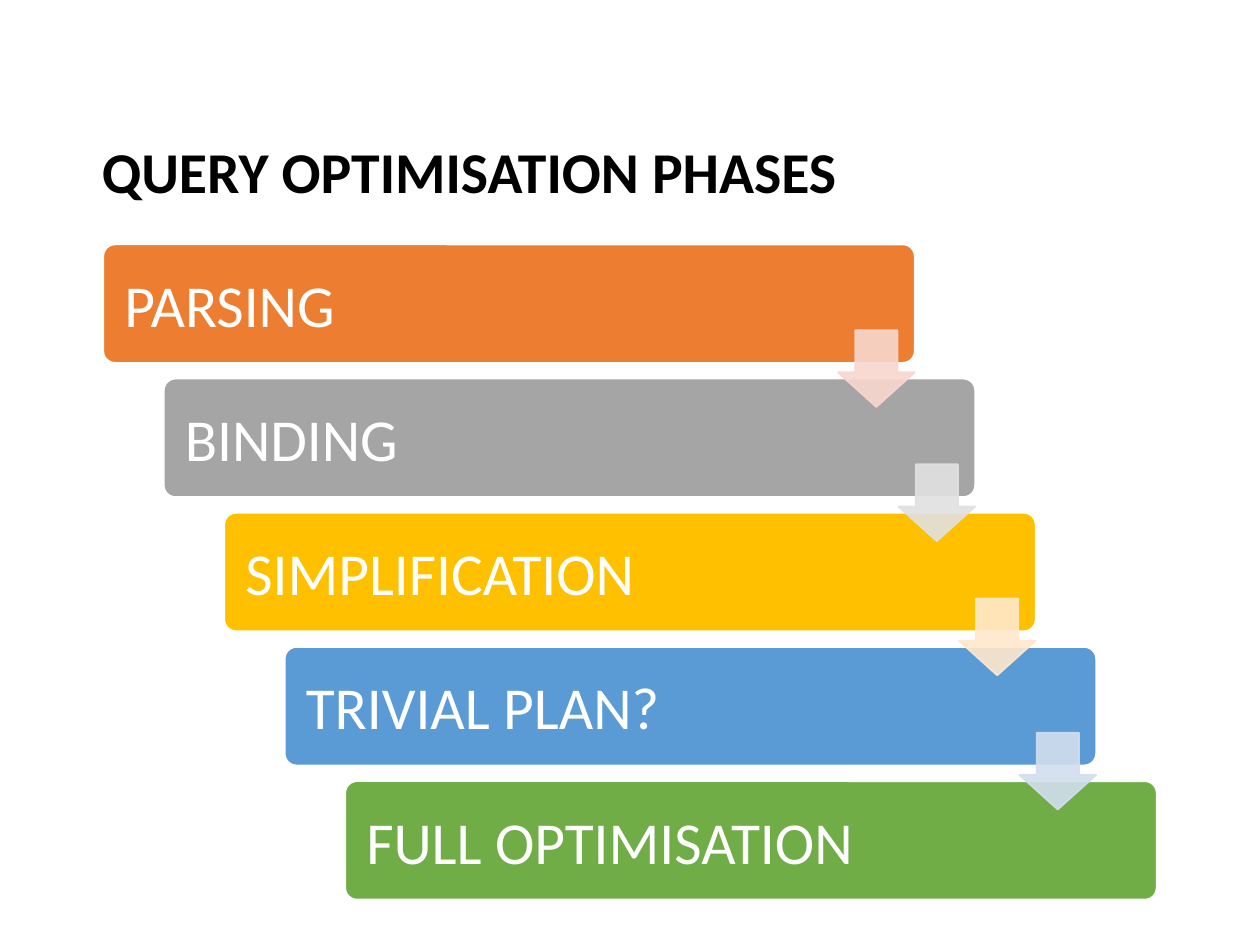
from dataclasses import dataclass

from lxml.etree import SubElement
from pptx import Presentation
from pptx.dml.color import RGBColor
from pptx.enum.shapes import MSO_SHAPE
from pptx.enum.text import MSO_ANCHOR, PP_ALIGN
from pptx.oxml.ns import qn
from pptx.util import Inches, Pt

LEFT, TOP = 0.82, 1.94
COL, ROW = 0.48, (6.2 - 1.94) / 4
BOX_W, BOX_H = 6.44, 0.94
ARROW_X, ARROW_Y, ARROW = 5.83, 0.68, 0.61


@dataclass
class Phase:
    """A step of the staircase and the colour of the arrow leaving it."""
    name: str
    fill: str
    arrow: str = ""


PHASES = [
    Phase("PARSING", "ED7D31", "F8D7CE"),
    Phase("BINDING", "A5A5A5", "E1E1E1"),
    Phase("SIMPLIFICATION", "FFC000", "FFE8CC"),
    Phase("TRIVIAL PLAN?", "5B9BD5", "D2DEEF"),
    Phase("FULL OPTIMISATION", "70AD47"),
]


def paint(fill, color: str, alpha: int = 100) -> None:
    """Set a solid colour with an opacity in percent."""
    fill.solid()
    fill.fore_color.rgb = RGBColor.from_string(color)
    if alpha < 100:
        clr = fill._xPr.find(qn("a:solidFill"))[0]
        SubElement(clr, qn("a:alpha")).set("val", str(alpha * 1000))


def write(sp, text: str, size: int, color: str, bold: bool = False) -> None:
    """Put one left-aligned, vertically centred line into a shape."""
    tf = sp.text_frame
    tf.word_wrap = True
    tf.vertical_anchor = MSO_ANCHOR.MIDDLE
    tf.text = text
    p = tf.paragraphs[0]
    p.alignment = PP_ALIGN.LEFT
    font = p.runs[0].font
    font.name, font.size, font.bold = "Calibri", Pt(size), bold
    paint(font.fill, color)


def add_title(s, text: str) -> None:
    """Add the slide heading."""
    sp = s.shapes.add_textbox(Inches(0.71), Inches(0.66), Inches(8.57), Inches(1.45))
    write(sp, text, 33, "000000", True)
    sp.text_frame.paragraphs[0].line_spacing = 0.9


def add_shape(s, kind, x: float, y: float, w: float, h: float,
              fill: str, line: str, alpha: int = 100):
    """Add a flat preset shape with a one-point outline."""
    sp = s.shapes.add_shape(kind, Inches(x), Inches(y), Inches(w), Inches(h))
    sp.shadow.inherit = False
    paint(sp.fill, fill, alpha)
    sp.line.width = Pt(1)
    paint(sp.line.fill, line, alpha)
    return sp


def add_box(s, step: int, phase: Phase) -> None:
    """Add the box of a phase on its step."""
    sp = add_shape(s, MSO_SHAPE.ROUNDED_RECTANGLE, LEFT + step * COL,
                   TOP + step * ROW, BOX_W, BOX_H, phase.fill, "FFFFFF")
    sp.adjustments[0] = 0.1
    write(sp, phase.name, 34, "FFFFFF")
    tf = sp.text_frame
    tf.margin_left = tf.margin_right = tf.margin_top = tf.margin_bottom = Inches(0.14)


def add_arrow(s, step: int, phase: Phase) -> None:
    """Add the translucent arrow leading to the next step."""
    sp = add_shape(s, MSO_SHAPE.DOWN_ARROW, LEFT + step * COL + ARROW_X,
                   TOP + step * ROW + ARROW_Y, ARROW, ARROW,
                   phase.arrow, phase.arrow, 90)
    sp.adjustments[0] = 0.55
    sp.adjustments[1] = 0.45


def main() -> None:
    """Build and save the slide."""
    prs = Presentation()
    prs.slide_width, prs.slide_height = Inches(10), Inches(7.5)
    s = prs.slides.add_slide(prs.slide_layouts[6])
    add_title(s, "QUERY OPTIMISATION PHASES")
    for step, phase in enumerate(PHASES):
        add_box(s, step, phase)
    for step, phase in enumerate(PHASES[:-1]):
        add_arrow(s, step, phase)
    prs.save("out.pptx")


if __name__ == "__main__":
    main()
